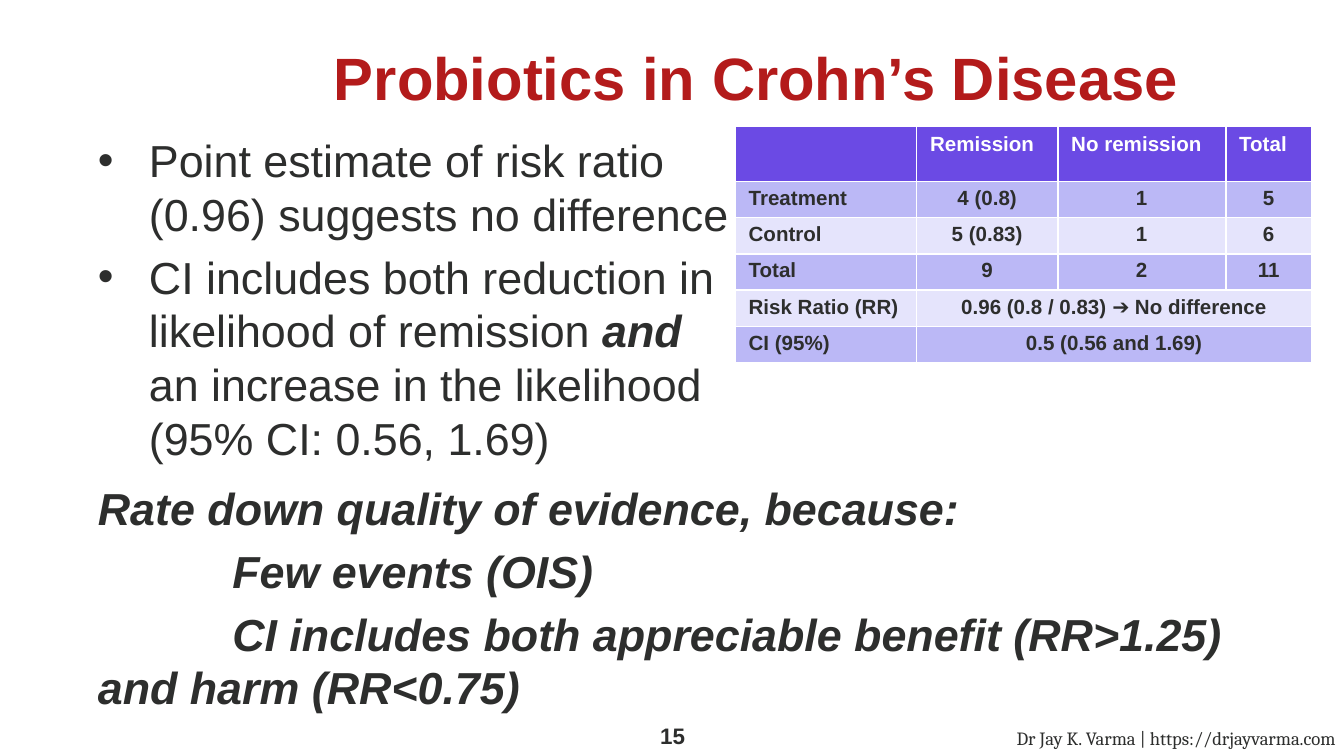
from lxml import etree
from pptx import Presentation
from pptx import util as u
from pptx.dml.color import RGBColor
from pptx.enum import text
from pptx.oxml.ns import qn

COLORS = {
    "title": "B31B1B",
    "ink": "2D2E2D",
    "white": "FFFFFF",
    "header": "6B4AE4",
    "dark_band": "BBB8F6",
    "light_band": "E5E4FC",
}
LEFT, CENTER = text.PP_ALIGN.LEFT, text.PP_ALIGN.CENTER
TOP, MIDDLE = text.MSO_ANCHOR.TOP, text.MSO_ANCHOR.MIDDLE
BODY_PARAGRAPH = {"space_before": u.Pt(4.8), "line_spacing": 1.0}

FINDINGS = [
    [("Point estimate of risk ratio (0.96) suggests no difference", {})],
    [
        ("CI includes both reduction in likelihood of remission ", {}),
        ("and", {"bold": True, "italic": True}),
        (" an increase in the likelihood (95% CI: 0.56, 1.69)", {}),
    ],
]
REASONS = [
    "Rate down quality of evidence, because:",
    "\tFew events (OIS)",
    "\tCI includes both appreciable benefit (RR>1.25) \tand harm (RR<0.75)",
]
RESULTS = [
    ["", "Remission", "No remission", "Total"],
    ["Treatment", "4 (0.8)", "1", "5"],
    ["Control", "5 (0.83)", "1", "6"],
    ["Total", "9", "2", "11"],
    ["Risk Ratio (RR)", "0.96 (0.8 / 0.83) ➔ No difference"],
    ["CI (95%)", "0.5 (0.56 and 1.69)"],
]
COLUMN_WIDTHS = [1.35, 1.05, 1.25, 0.64]
HEADER_HEIGHT, ROW_HEIGHT = 0.41, 0.27


def apply(target, values):
    for name, value in values.items():
        setattr(target, name, value)


def add_run(paragraph, words, size, color="ink", **values):
    run = paragraph.add_run()
    run.text = words
    apply(run.font, {"name": "Arial", "size": u.Pt(size), **values})
    run.font.color.rgb = RGBColor.from_string(COLORS[color])


def add_text_box(slide, box, anchor=TOP):
    frame = slide.shapes.add_textbox(*map(u.Inches, box)).text_frame
    apply(frame, {"word_wrap": True, "vertical_anchor": anchor})
    return frame


def next_paragraph(frame, index):
    return frame.add_paragraph() if index else frame.paragraphs[0]


def add_bullet(paragraph, indent):
    properties = paragraph._p.get_or_add_pPr()
    properties.set("marL", str(u.Inches(indent)))
    properties.set("indent", str(-u.Inches(indent)))
    etree.SubElement(properties, qn("a:buFont")).set("typeface", "Arial")
    etree.SubElement(properties, qn("a:buChar")).set("char", "•")


def add_tab_stop(paragraph, position):
    stops = etree.SubElement(paragraph._p.get_or_add_pPr(), qn("a:tabLst"))
    stop = etree.SubElement(stops, qn("a:tab"))
    stop.set("pos", str(u.Inches(position)))
    stop.set("algn", "l")


def place_title(slide, box):
    title = slide.shapes.title
    apply(title, dict(zip(("left", "top", "width", "height"), map(u.Inches, box))))
    frame = title.text_frame
    margins = dict.fromkeys(
        ("margin_left", "margin_top", "margin_right", "margin_bottom"), 0)
    apply(frame, {"word_wrap": True, "vertical_anchor": TOP,
                  "auto_size": text.MSO_AUTO_SIZE.NONE, **margins})
    paragraph = frame.paragraphs[0]
    paragraph.alignment = CENTER
    add_run(paragraph, "Probiotics in Crohn’s Disease", 32, "title", bold=True)


def place_findings(slide, box):
    frame = add_text_box(slide, box)
    for index, pieces in enumerate(FINDINGS):
        paragraph = next_paragraph(frame, index)
        apply(paragraph, BODY_PARAGRAPH)
        add_bullet(paragraph, 0.38)
        for words, values in pieces:
            add_run(paragraph, words, 24, **values)


def place_reasons(slide, box):
    frame = add_text_box(slide, box)
    for index, words in enumerate(REASONS):
        paragraph = next_paragraph(frame, index)
        apply(paragraph, BODY_PARAGRAPH)
        for position in (1, box[2]):
            if position == 1:
                add_tab_stop(paragraph, position)
        paragraph._p.get_or_add_pPr().set("defTabSz", str(u.Inches(1)))
        add_run(paragraph, words, 24, bold=True, italic=True)


def place_results(slide, left, top):
    height = HEADER_HEIGHT + ROW_HEIGHT * (len(RESULTS) - 1)
    table = slide.shapes.add_table(
        len(RESULTS), len(COLUMN_WIDTHS), u.Inches(left), u.Inches(top),
        u.Inches(sum(COLUMN_WIDTHS)), u.Inches(height)).table
    for column, width in zip(table.columns, COLUMN_WIDTHS):
        column.width = u.Inches(width)
    for row_index, values in enumerate(RESULTS):
        is_header = row_index == 0
        table.rows[row_index].height = u.Inches(HEADER_HEIGHT if is_header else ROW_HEIGHT)
        band = "header" if is_header else "dark_band" if row_index % 2 else "light_band"
        margin = u.Inches(0.05 if is_header else 0.04)
        for column_index in range(len(COLUMN_WIDTHS)):
            cell = table.cell(row_index, column_index)
            apply(cell, {"margin_top": margin, "margin_bottom": margin})
            cell.fill.solid()
            cell.fill.fore_color.rgb = RGBColor.from_string(COLORS[band])
        if len(values) < len(COLUMN_WIDTHS):
            table.cell(row_index, 1).merge(table.cell(row_index, len(COLUMN_WIDTHS) - 1))
        for column_index, words in enumerate(values):
            if not words:
                continue
            paragraph = table.cell(row_index, column_index).text_frame.paragraphs[0]
            paragraph.alignment = LEFT if is_header or column_index == 0 else CENTER
            add_run(paragraph, words, 11, "white" if is_header else "ink", bold=True)


def place_footer_text(slide, box, words, size, anchor=TOP, **values):
    paragraph = add_text_box(slide, box, anchor).paragraphs[0]
    paragraph.alignment = CENTER
    add_run(paragraph, words, size, **values)


def main():
    presentation = Presentation()
    apply(presentation, {"slide_width": u.Inches(10), "slide_height": u.Inches(10 * 9 / 16)})
    slide = presentation.slides.add_slide(presentation.slide_layouts[5])
    place_footer_text(slide, (4.72, 5.32, 0.57, 0.3), "15", 12, MIDDLE, bold=True)
    place_results(slide, 5.47, 0.94)
    place_title(slide, (1.35, 0.3, 8.56, 0.59))
    place_findings(slide, (0.63, 0.94, 4.95, 2.53))
    place_reasons(slide, (0.63, 3.53, 9.01, 2.53))
    place_footer_text(slide, (7, 5.36, 3.5, 0.27),
                      "Dr Jay K. Varma | https://drjayvarma.com", 10, name="Cambria")
    presentation.save("out.pptx")


if __name__ == "__main__":
    main()
